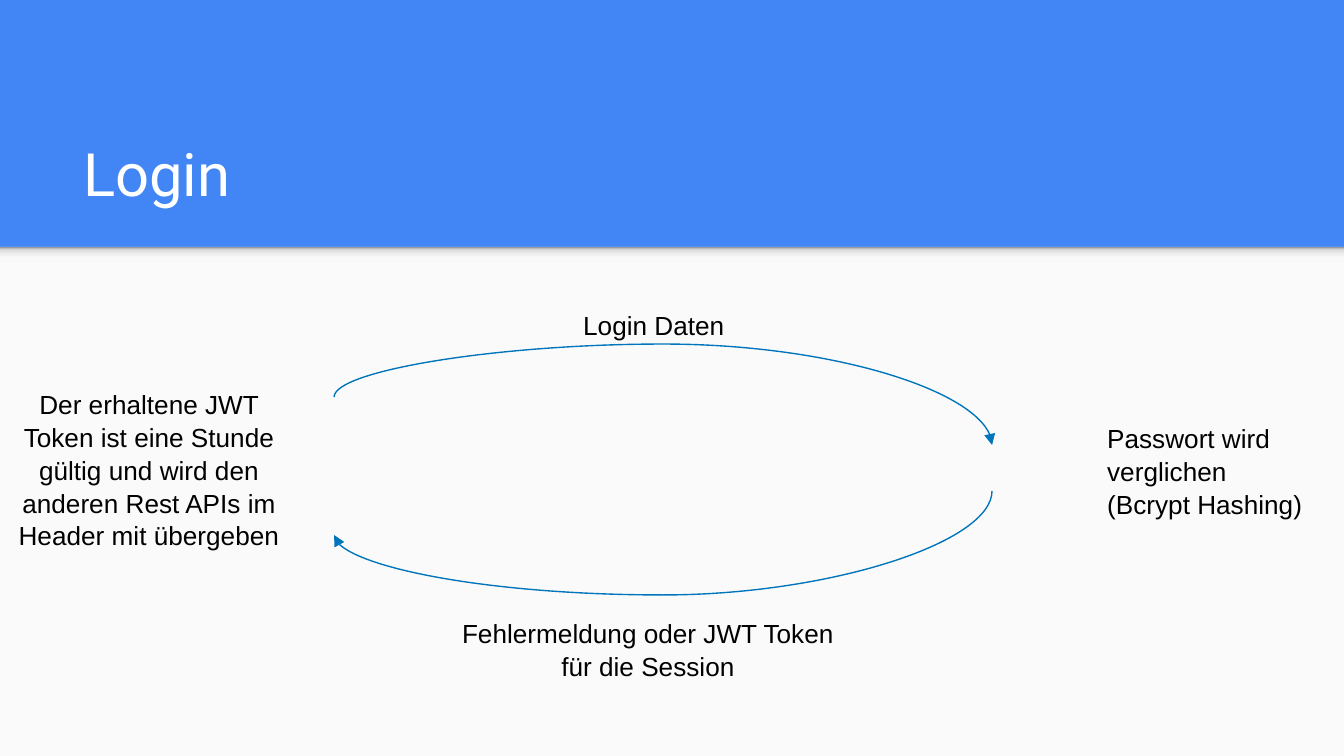
from lxml import etree
from pptx import Presentation
from pptx.dml.color import RGBColor
from pptx.enum.shapes import MSO_CONNECTOR, MSO_SHAPE
from pptx.enum.text import MSO_ANCHOR, PP_ALIGN
from pptx.oxml.ns import qn
from pptx.util import Pt

RECTANGLE = MSO_SHAPE.RECTANGLE
CURVE = MSO_CONNECTOR.CURVE
TOP, BOTTOM = MSO_ANCHOR.TOP, MSO_ANCHOR.BOTTOM
LEFT, CENTER = PP_ALIGN.LEFT, PP_ALIGN.CENTER

COLORS = {
    "header": "4285F4",
    "body": "FAFAFA",
    "title": "FFFFFF",
    "text": "000000",
    "arrow": "0075BB",
}
SHADOW_STOPS = [(0, "F9F9F9"), (36, "F9F9F9"), (80, "DEDEDE"), (100, "999999")]
WIDTH, HEIGHT, HEADER_HEIGHT = 1344, 756, 247


def px(length):
    return round(length * 914400 / 134.4)


def add_text(text, box, font_name, size, color, align=LEFT, anchor=TOP):
    frame = slide.shapes.add_textbox(*map(px, box)).text_frame
    frame.word_wrap = True
    frame.vertical_anchor = anchor
    frame.text = text
    paragraph = frame.paragraphs[0]
    paragraph.alignment = align
    font = paragraph.runs[0].font
    font.name = font_name
    font.size = Pt(size)
    font.color.rgb = RGBColor.from_string(COLORS[color])
    return frame


prs = Presentation()
prs.slide_width, prs.slide_height = px(WIDTH), px(HEIGHT)
slide = prs.slides.add_slide(prs.slide_layouts[6])
slide.background.fill.solid()
slide.background.fill.fore_color.rgb = RGBColor.from_string(COLORS["header"])

# Light body with a soft shadow below the header
body, header_shadow = [
    slide.shapes.add_shape(RECTANGLE, 0, px(HEADER_HEIGHT), px(WIDTH), px(height))
    for height in (HEIGHT - HEADER_HEIGHT, 16)
]
for area in (body, header_shadow):
    area.shadow.inherit = False
    area.line.fill.background()
body.fill.solid()
body.fill.fore_color.rgb = RGBColor.from_string(COLORS["body"])

header_shadow.fill.gradient()
header_shadow.fill.gradient_angle = 90
stop_list = header_shadow._element.spPr.find(".//" + qn("a:gsLst"))
for stop in list(stop_list):
    stop_list.remove(stop)
for position, color in SHADOW_STOPS:
    stop = etree.SubElement(stop_list, qn("a:gs"), pos=str(position * 1000))
    etree.SubElement(stop, qn("a:srgbClr"), val=color)

title = add_text("Login", (70, 109, 1208, 113), "Roboto", 32, "title", anchor=BOTTOM)
title.margin_top = title.margin_bottom = px(13)

# Request and response arcs: start y, end y, y of the bend, rotation, mirrored
ARC_LEFT, ARC_RIGHT = 334, 992
center_x, span = (ARC_LEFT + ARC_RIGHT) / 2, ARC_RIGHT - ARC_LEFT
for start_y, end_y, bend_y, rotation, mirrored in [
    (397, 445, 344, 270, True),
    (491, 535, 595, 90, False),
]:
    rise = end_y - start_y
    center_y = (start_y + end_y) / 2
    sides = [center_x - rise / 2, center_x + rise / 2]
    if mirrored:
        sides.reverse()
    arc = slide.shapes.add_connector(
        CURVE, px(sides[0]), px(center_y - span / 2), px(sides[1]), px(center_y + span / 2)
    )
    arc.line.color.rgb = RGBColor.from_string(COLORS["arrow"])
    arc.line.width = Pt(0.75)
    properties = arc._element.spPr
    properties.find(qn("a:xfrm")).set("rot", str(rotation * 60000))
    bend = round((bend_y - start_y) / rise * 100000)
    adjustments = properties.find(".//" + qn("a:avLst"))
    etree.SubElement(adjustments, qn("a:gd"), name="adj1", fmla=f"val {bend}")
    etree.SubElement(properties.find(qn("a:ln")), qn("a:tailEnd"), type="triangle")
    etree.SubElement(properties, qn("a:effectLst"))

for text, box, align in [
    ("Login Daten", (570, 301, 173, 77), LEFT),
    ("Passwort wird verglichen (Bcrypt Hashing)", (1094, 414, 227, 109), LEFT),
    ("Fehlermeldung oder JWT Token für die Session", (448, 609, 400, 109), CENTER),
    (
        "Der erhaltene JWT Token ist eine Stunde gültig und wird den "
        "anderen Rest APIs im Header mit übergeben",
        (4, 380, 290, 172),
        CENTER,
    ),
]:
    label = add_text(text, box, "Arial", 14, "text", align)
    label.paragraphs[0].line_spacing = 1.05

prs.save("out.pptx")
